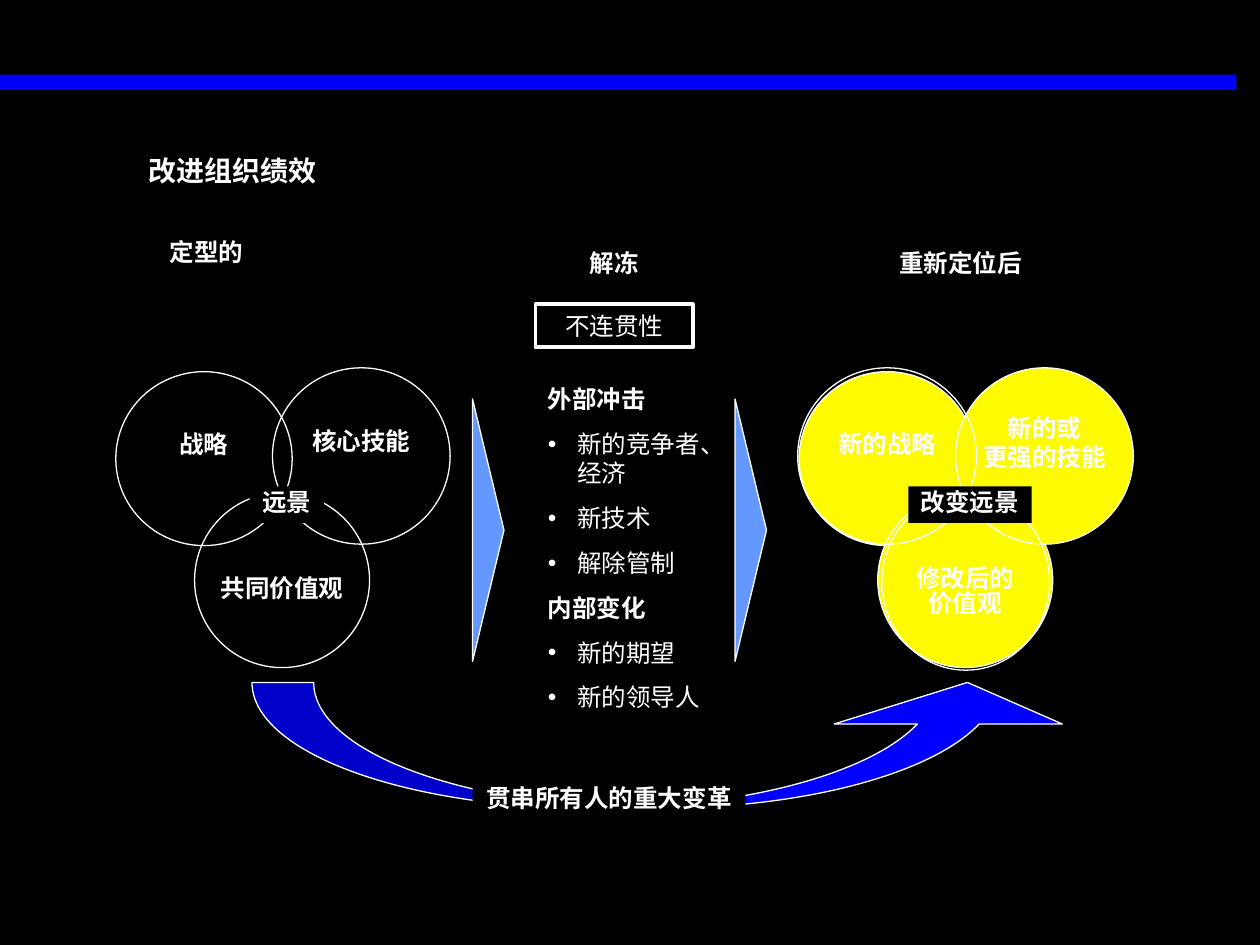
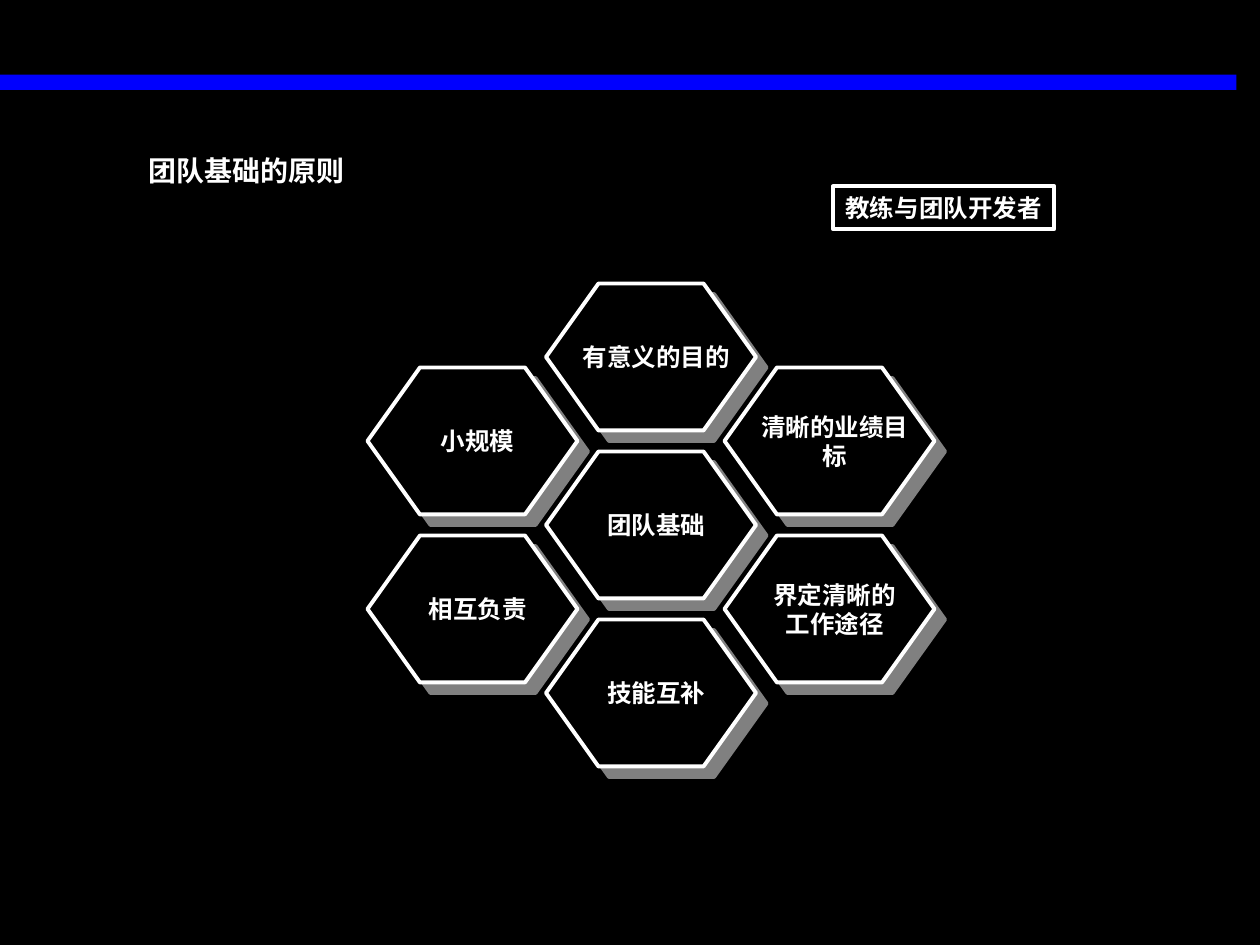
"""Build two slides on organisational change and team basics."""
from lxml import etree
from pptx import Presentation
from pptx.dml.color import RGBColor
from pptx.enum.shapes import MSO_SHAPE as Shape
from pptx.enum.text import MSO_ANCHOR as Anchor, PP_ALIGN as Align
from pptx.oxml.ns import qn
from pptx.util import Pt

COLORS = {
    "black": "000000",
    "white": "FFFFFF",
    "blue": "0000FE",
    "sky": "6598FF",
    "yellow": "FEFB00",
    "gray": "808080",
}
HEADING_FONT = "Times New Roman"
LABEL_FONT = "Arial"
SIZE = 14
ONE_LINE = 24.5
CAPTION_HEIGHT = 20.9


def rgb(name):
    return RGBColor.from_string(COLORS[name])


def add_element(parent, tag, **attributes):
    element = etree.SubElement(parent, qn(tag))
    for name, value in attributes.items():
        element.set(name, str(value))
    return element


def add_bullet(paragraph):
    properties = paragraph._p.get_or_add_pPr()
    properties.set("marL", str(Pt(16.8)))
    properties.set("indent", str(-Pt(16.8)))
    color = add_element(properties, "a:buClr")
    add_element(color, "a:srgbClr", val=COLORS["white"])
    add_element(properties, "a:buFont", typeface=LABEL_FONT)
    add_element(properties, "a:buChar", char="•")


def write_text(shape, text, size=SIZE, font=HEADING_FONT, bold=True, align=Align.CENTER,
               anchor=Anchor.TOP, wrap=True, spacing=None, gap=0, margins=(7.2, 3.6, 7.2, 3.6),
               bulleted=()):
    frame = shape.text_frame
    frame.word_wrap = wrap
    frame.vertical_anchor = anchor
    (frame.margin_left, frame.margin_top,
     frame.margin_right, frame.margin_bottom) = map(Pt, margins)
    for index, line in enumerate(text.split("\n")):
        paragraph = frame.add_paragraph() if index else frame.paragraphs[0]
        is_bullet = line in bulleted
        if is_bullet:
            add_bullet(paragraph)
        paragraph.alignment = align
        if index and gap:
            paragraph.space_before = Pt(gap)
        if spacing:
            paragraph.line_spacing = spacing
        run = paragraph.add_run()
        run.text = line
        run.font.name = font
        run.font.size = Pt(size)
        run.font.bold = bold and not is_bullet
        run.font.color.rgb = rgb("white")


def text_width(characters):
    return characters * SIZE + 14.4


class Deck:
    def __init__(self):
        self.presentation = Presentation()
        self.presentation.slide_width = Pt(720)
        self.presentation.slide_height = Pt(540)
        background = self.presentation.slide_master.background.fill
        background.solid()
        background.fore_color.rgb = rgb("black")
        self.slide = None

    def add_slide(self, title):
        self.slide = self.presentation.slides.add_slide(self.presentation.slide_layouts[6])
        self.shape(Shape.RECTANGLE, 0, 42.7, 706.5, 8.8, fill="blue")
        self.text(title, 78, 84, 360, 26.6, size=16, align=Align.LEFT)

    def shape(self, kind, left, top, width, height, fill=None, line=None):
        shape = self.slide.shapes.add_shape(kind, Pt(left), Pt(top), Pt(width), Pt(height))
        shape.shadow.inherit = False
        if fill:
            shape.fill.solid()
            shape.fill.fore_color.rgb = rgb(fill)
        else:
            shape.fill.background()
        if line:
            shape.line.color.rgb = rgb("white")
            shape.line.width = Pt(line)
        else:
            shape.line.fill.background()
        return shape

    def text(self, text, left, top, width, height, **style):
        box = self.slide.shapes.add_textbox(Pt(left), Pt(top), Pt(width), Pt(height))
        write_text(box, text, **style)

    def text_box(self, text, left, top, width, height=ONE_LINE, fill=None, line=None, **style):
        write_text(self.shape(Shape.RECTANGLE, left, top, width, height, fill, line), text, **style)

    def triangle(self, left):
        self.shape(Shape.ISOSCELES_TRIANGLE, left, 294, 150, 18, "sky", 0.75).rotation = 90

    def curved_arrow(self, left, top, width, height):
        arrow = self.shape(Shape.CURVED_UP_ARROW, left, top, width, height, "blue", 0.75)
        for index, value in enumerate((0.49, 1.81, 0.33)):
            arrow.adjustments[index] = value

    def venn(self, left, labels, caption, fill=None, rings=()):
        places = ((0, 212.4, 100.8, 99.4), (45, 281.5, 100, 100), (89.5, 210.2, 101.5, 100.8))
        for (offset, top, width, height), (label, shift, spacing) in zip(places, labels):
            circle = self.shape(Shape.OVAL, left + offset, top, width, height, fill, 0.75)
            write_text(circle, label, font=LABEL_FONT, anchor=Anchor.MIDDLE, wrap=False,
                       spacing=spacing, margins=(0, max(shift, 0), 0, max(-shift, 0)))
        for ring in rings:
            self.shape(Shape.OVAL, *ring, line=0.75)
        width = text_width(len(caption))
        self.text_box(caption, left + 97.7 - width / 2, 277.9, width, CAPTION_HEIGHT,
                      fill="black", anchor=Anchor.MIDDLE, wrap=False, spacing=0.8)

    def hexagon(self, column, row, label, per_line=None):
        left, top = 210 + 102 * column, 162 + 48 * row
        hexagon = self.shape(Shape.HEXAGON, left, top, 120, 84, "black", 2.25)
        hexagon.adjustments[0] = 0.357
        effects = hexagon._element.spPr.find(qn("a:effectLst"))
        shadow = add_element(effects, "a:outerShdw", blurRad=0, dist=Pt(8.5),
                             dir=45 * 60000, algn="ctr", rotWithShape=0)
        add_element(shadow, "a:srgbClr", val=COLORS["gray"])
        width = text_width(per_line or len(label))
        height = 41 if per_line else ONE_LINE
        self.text(label, left + 63 - width / 2, top + 42 - height / 2, width, height,
                  anchor=Anchor.MIDDLE, wrap=bool(per_line))


def build_change_slide(deck):
    deck.add_slide("改进组织绩效")
    deck.venn(66.2, (("战略", -17, None), ("共同价值观", 12, 0.75), ("核心技能", -17, None)),
              "远景")
    deck.venn(456.6, (("新的战略", -17, None), ("修改后的\n价值观", 14, 0.85),
                      ("新的或\n更强的技能", -16, None)),
              "改变远景", fill="yellow",
              rings=((455.8, 210.2, 102.2, 100.8), (504, 282.2, 95.8, 100.8)))
    deck.text("定型的", 90, 132, 102, ONE_LINE, align=Align.LEFT)
    for heading, left in (("解冻", 300), ("重新定位后", 498)):
        deck.text(heading, left, 138, 102, ONE_LINE)
    deck.text_box("不连贯性", 306, 174, 90, line=2.25, bold=False)
    forces = ("外部冲击", "新的竞争者、经济", "新技术", "解除管制",
              "内部变化", "新的期望", "新的领导人")
    deck.text("\n".join(forces), 306, 216, 102.2, 194.4, align=Align.LEFT, gap=8.8,
              bulleted=forces[1:4] + forces[5:])
    for left in (204, 354):
        deck.triangle(left)
    deck.curved_arrow(144, 390, 474, 72)
    deck.text_box("贯串所有人的重大变革", 270, 444, 156, fill="black")


def build_team_slide(deck):
    deck.add_slide("团队基础的原则")
    principles = (
        (1, 2, "团队基础"),
        (1, 0, "有意义的目的"),
        (2, 1, "清晰的业绩目标"),
        (2, 3, "界定清晰的工作途径", 5),
        (1, 4, "技能互补"),
        (0, 1, "小规模"),
        (0, 3, "相互负责"),
    )
    for principle in principles:
        deck.hexagon(*principle)
    deck.text_box("教练与团队开发者", 476, 106.5, 126.5, fill="black", line=2.25,
                  anchor=Anchor.MIDDLE, wrap=False)


def main():
    deck = Deck()
    build_change_slide(deck)
    build_team_slide(deck)
    deck.presentation.save("out.pptx")


if __name__ == "__main__":
    main()
